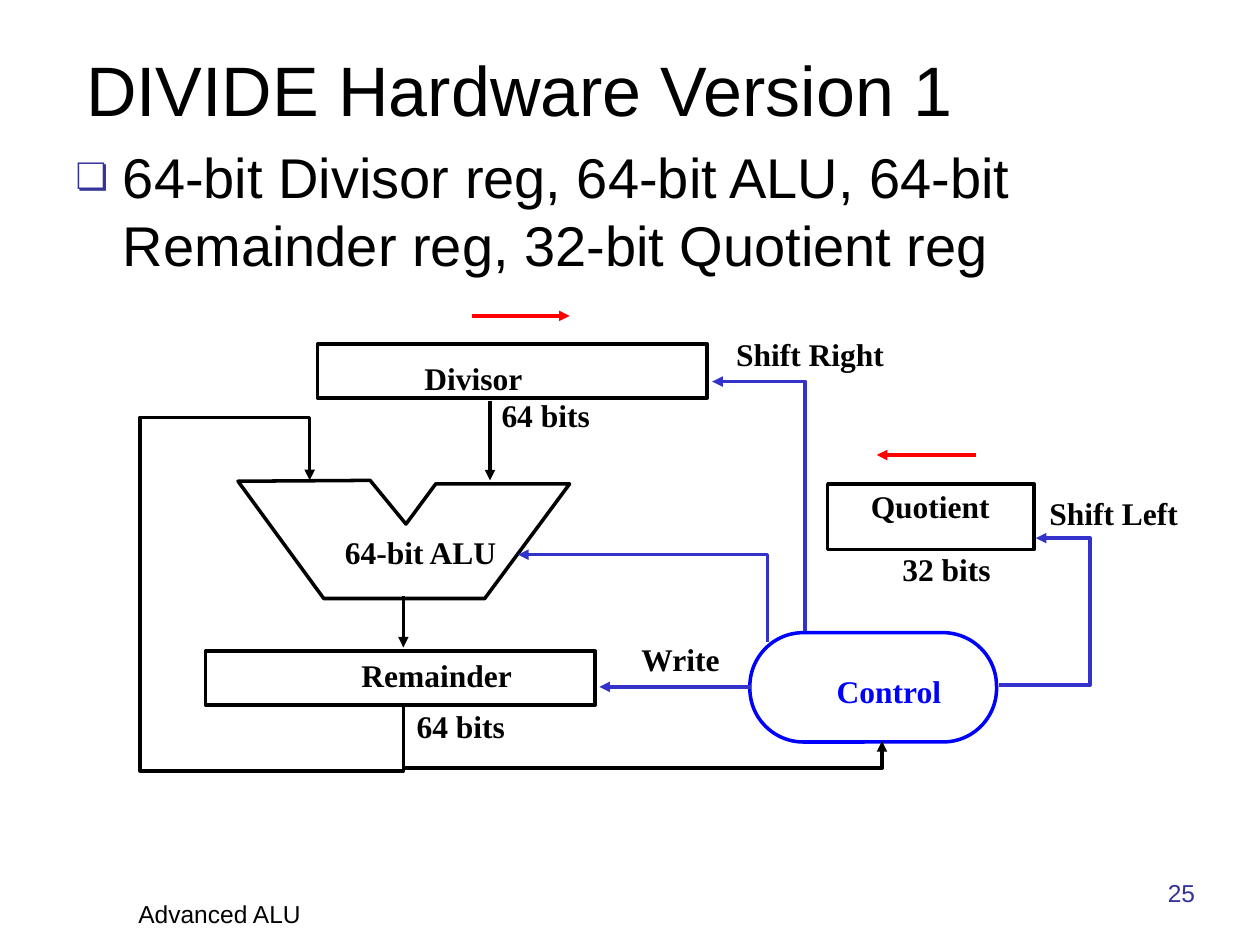
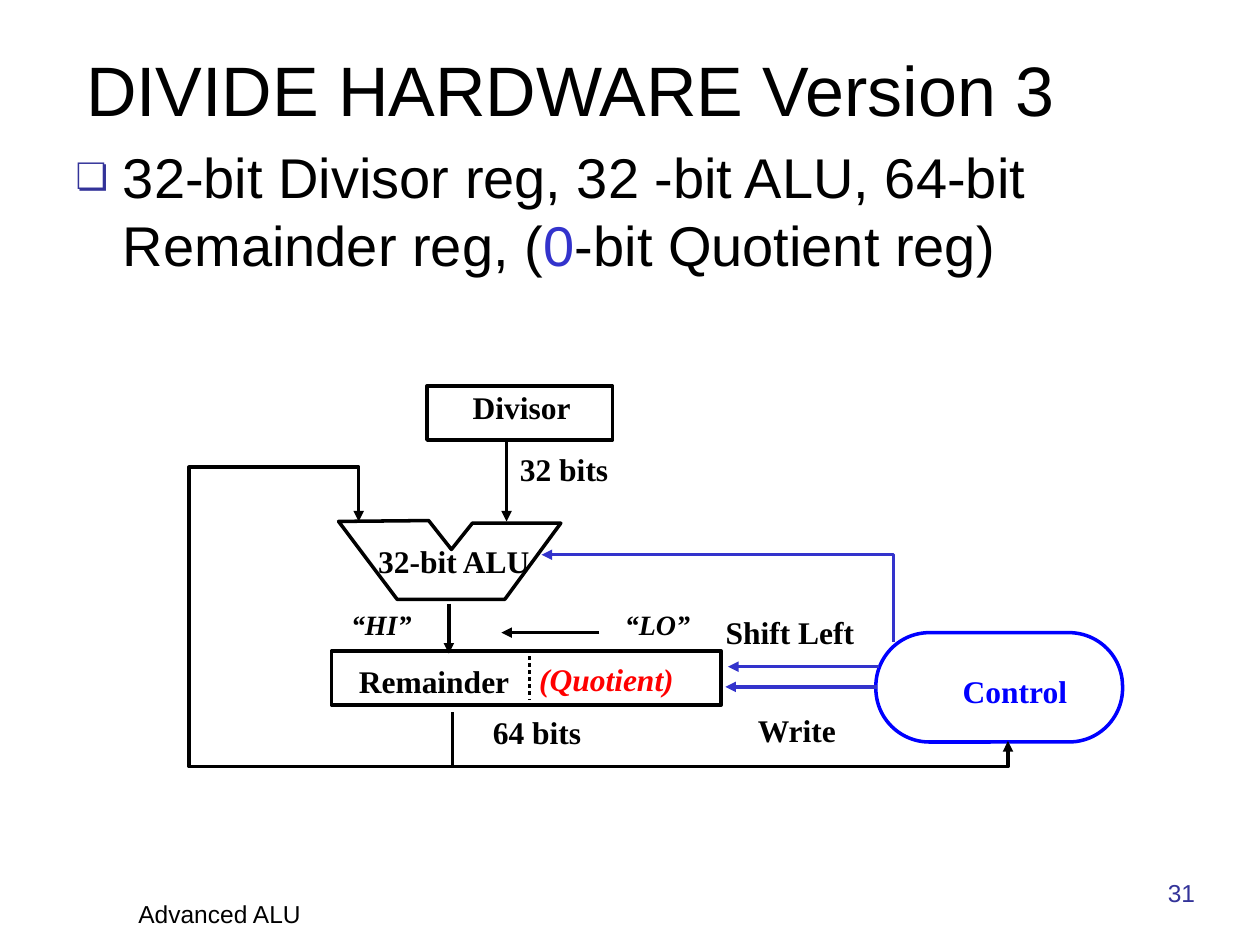
import pptx
import pptx.util
import pptx.dml.color
import pptx.enum.dml
import pptx.enum.shapes
import pptx.enum.text
import pptx.oxml
import pptx.oxml.ns
from lxml import etree

Pt = pptx.util.Pt
qn = pptx.oxml.ns.qn
RGB = pptx.dml.color.RGBColor.from_string
KINDS = pptx.enum.shapes.MSO_SHAPE
ALIGN = pptx.enum.text.PP_ALIGN
ANCHOR = pptx.enum.text.MSO_ANCHOR
NO_FIT = pptx.enum.text.MSO_AUTO_SIZE.NONE

COLORS = {"ink": "000000", "navy": "333399", "wire": "3333CC",
          "pill": "0000FF", "red": "FF0000"}
SERIF = {"name": "Times New Roman", "size": Pt(18), "bold": True}
SMALL = {"name": "Arial", "size": Pt(14), "bold": False}
ITALIC = {"italic": True}
HALF = {"italic": True, "size": Pt(16)}
WIDTHS = {"Remainder": 108, "Quotient": 90, "(Quotient)": 100, "Divisor": 78,
          "64-bit ALU": 110, "32-bit ALU": 110, "Shift Right": 106,
          "Shift Left": 96, "Write": 67, "Control": 82, "32 bits": 73,
          "64 bits": 73, "“HI”": 57, "“LO”": 60}

slides = [
    {
        "title": "DIVIDE Hardware Version 1",
        "body": [[("64-bit Divisor reg, 64-bit ALU, 64-bit "
                   "Remainder reg, 32-bit Quotient reg", "ink")]],
        "number": "25",
        "control": 428.5,
        "boxes": [(117.5, 372, 222.5, 31), (473, 276.5, 118, 37.5),
                  (181.5, 196.5, 222.5, 31)],
        "labels": [
            ("Remainder", 199.5, 371.5, "ink", {}),
            ("Quotient", 490.5, 274.5, "ink", {}),
            ("Divisor", 235.5, 201.5, "ink", {}),
            ("64-bit ALU", 190, 301, "ink", {}),
            ("Shift Right", 413.5, 188, "ink", {}),
            ("Shift Left", 592.5, 278.5, "ink", {}),
            ("Write", 359.5, 362, "ink", {}),
            ("32 bits", 508.5, 311, "ink", {}),
            ("64 bits", 279.5, 222.5, "ink", {}),
            ("64 bits", 231, 400.5, "ink", {}),
        ],
        "alu": [(136, 275), (185, 342), (277, 342), (325.5, 276.5),
                (249, 276.5), (232, 299.5), (211.5, 274.5)],
        "wires": [
            ("wire", [(571, 391.5), (623, 391.5), (623, 307.5), (592, 307.5)]),
            ("wire", [(460, 360.5), (460, 218), (407, 218)]),
            ("wire", [(438.5, 367), (438.5, 317), (296, 317)]),
            ("wire", [(429, 392.5), (342.5, 392.5)]),
            ("ink", [(230.5, 340.5), (230.5, 370)]),
            ("ink", [(230.5, 403), (230.5, 440.5), (80, 440.5),
                     (80, 238.5), (177, 238.5), (177, 274.5)]),
            ("ink", [(280, 229), (280, 274.5)]),
            ("ink", [(231, 439), (504, 439), (504, 423.5)]),
            ("red", [(269.5, 180.5), (325.5, 180.5)]),
            ("red", [(557.5, 260), (501, 260)]),
        ],
        "dots": [],
    },
    {
        "title": "DIVIDE HARDWARE Version 3",
        "body": [[("32-bit Divisor reg, 32 -bit ALU, 64-bit ", "ink")],
                 [("Remainder reg, (", "ink"), ("0", "wire"),
                  ("-bit Quotient reg)", "ink")]],
        "number": "31",
        "control": 500.5,
        "boxes": [(189.5, 372, 222.5, 31), (244, 220.5, 106, 31)],
        "labels": [
            ("Remainder", 198, 374.5, "ink", {}),
            ("(Quotient)", 301, 373.5, "red", ITALIC),
            ("Divisor", 263, 218, "ink", {}),
            ("32-bit ALU", 209, 306, "ink", {}),
            ("Write", 426, 402.5, "ink", {}),
            ("32 bits", 290, 253.5, "ink", {}),
            ("64 bits", 274.5, 404, "ink", {}),
            ("Shift Left", 407.5, 347, "ink", {}),
            ("“HI”", 193.5, 343.5, "ink", HALF),
            ("“LO”", 350, 343.5, "ink", HALF),
        ],
        "alu": [(193.5, 298), (227, 342.5), (288.5, 342.5), (320.5, 299),
                (270, 299), (258, 314), (245, 297.5)],
        "wires": [
            ("wire", [(510.5, 367), (510.5, 317), (309.5, 317)]),
            ("wire", [(501, 392.5), (414.5, 392.5)]),
            ("wire", [(502.5, 381), (416, 381)]),
            ("ink", [(256.5, 345), (256.5, 373.5)]),
            ("ink", [(258.5, 407), (258.5, 438), (108, 438),
                     (108, 267), (205, 267), (205, 298)]),
            ("ink", [(289.5, 252.5), (289.5, 298)]),
            ("ink", [(258, 438), (576, 438), (576, 423.5)]),
            ("ink", [(342.5, 361.5), (286.5, 361.5)]),
        ],
        "dots": [[(302.5, 375), (302.5, 399.5)]],
    },
]


def add_label(slide, text, left, top, width, height, color, style):
    """Place one line of text and return its frame."""
    frame = slide.shapes.add_textbox(Pt(left), Pt(top), Pt(width), Pt(height)).text_frame
    frame.word_wrap = False
    run = frame.paragraphs[0].add_run()
    run.text = text
    for key, value in {**SERIF, **style}.items():
        setattr(run.font, key, value)
    run.font.color.rgb = RGB(COLORS[color])
    return frame


def add_wire(slide, points, color, dotted=False):
    """Draw a line through the points, with an arrow at its end unless dotted."""
    points = [(Pt(x), Pt(y)) for x, y in points]
    if len(points) == 2:
        straight = pptx.enum.shapes.MSO_CONNECTOR.STRAIGHT
        wire = slide.shapes.add_connector(straight, *points[0], *points[1])
    else:
        path = slide.shapes.build_freeform(*points[0])
        path.add_line_segments(points[1:], close=False)
        wire = path.convert_to_shape()
        wire.fill.background()
    wire.line.color.rgb = RGB(COLORS[color])
    wire.line.width = Pt(2)
    props = wire.element.spPr
    if dotted:
        wire.line.dash_style = pptx.enum.dml.MSO_LINE.ROUND_DOT
    else:
        etree.SubElement(props.find(qn("a:ln")), qn("a:tailEnd"), type="triangle")
    etree.SubElement(props, qn("a:effectLst"))


deck = pptx.Presentation()
deck.slide_width, deck.slide_height = Pt(720), Pt(540)

for data in slides:
    slide = deck.slides.add_slide(deck.slide_layouts[1])
    title, body = slide.placeholders

    # Title and list
    places = [(title, (42, 42.5, 642, 35.5), ANCHOR.BOTTOM),
              (body, (36, 78, 654, 420), ANCHOR.TOP)]
    for holder, spot, anchor in places:
        for side, value in zip(("left", "top", "width", "height"), spot):
            setattr(holder, side, Pt(value))
        form = {"auto_size": NO_FIT, "word_wrap": True, "vertical_anchor": anchor}
        for key, value in form.items():
            setattr(holder.text_frame, key, value)

    title.text_frame.text = data["title"]
    head = title.text_frame.paragraphs[0]
    head.alignment = ALIGN.LEFT
    item = body.text_frame.paragraphs[0]
    props = item._p.get_or_add_pPr()
    props.set("marL", str(Pt(27)))
    props.set("indent", str(Pt(-27)))
    tint = etree.SubElement(props, qn("a:buClr"))
    etree.SubElement(tint, qn("a:srgbClr"), val=COLORS["navy"])
    etree.SubElement(props, qn("a:buSzPct"), val="65000")
    etree.SubElement(props, qn("a:buChar"), char="❏")
    item.space_before = Pt(0)
    for row, parts in enumerate(data["body"]):
        if row:
            item.add_line_break()
        for text, color in parts:
            run = item.add_run()
            run.text = text
            run.font.color.rgb = RGB(COLORS[color])
    head.runs[0].font.color.rgb = RGB(COLORS["ink"])
    for para, size in ((head, 40), (item, 32)):
        for run in para.runs:
            run.font.name = "Arial"
            run.font.size = Pt(size)

    # Footer and number
    footer = add_label(slide, "Advanced ALU", 72, 510, 150, 24, "ink", SMALL)
    number = add_label(slide, data["number"], 600, 498, 90, 24, "navy", SMALL)
    number.paragraphs[0].alignment = ALIGN.RIGHT
    for frame in (footer, number):
        frame.word_wrap = True
        frame.vertical_anchor = ANCHOR.BOTTOM

    # Registers, control and ALU
    left = data["control"]
    blocks = [(KINDS.RECTANGLE, spot, "ink") for spot in data["boxes"]]
    blocks.append((KINDS.ROUNDED_RECTANGLE, (left, 361.5, 141, 62.5), "pill"))
    outlines = []
    for kind, spot, color in blocks:
        block = slide.shapes.add_shape(kind, *map(Pt, spot))
        outlines.append((block, color))
    block.adjustments[0] = 0.49
    points = [(Pt(x), Pt(y)) for x, y in data["alu"]]
    path = slide.shapes.build_freeform(*points[0])
    path.add_line_segments(points[1:], close=True)
    outlines.append((path.convert_to_shape(), "ink"))
    for shape, color in outlines:
        shape.shadow.inherit = False
        shape.fill.background()
        shape.line.color.rgb = RGB(COLORS[color])
        shape.line.width = Pt(2)

    # Wires and words
    for color, points in data["wires"]:
        add_wire(slide, points, color)
    for points in data["dots"]:
        add_wire(slide, points, "ink", dotted=True)
    for text, x, y, color, style in data["labels"] + [
            ("Control", left + 42.5, 380.5, "pill", {})]:
        add_label(slide, text, x, y, WIDTHS[text], 29, color, style)

deck.save("out.pptx")
